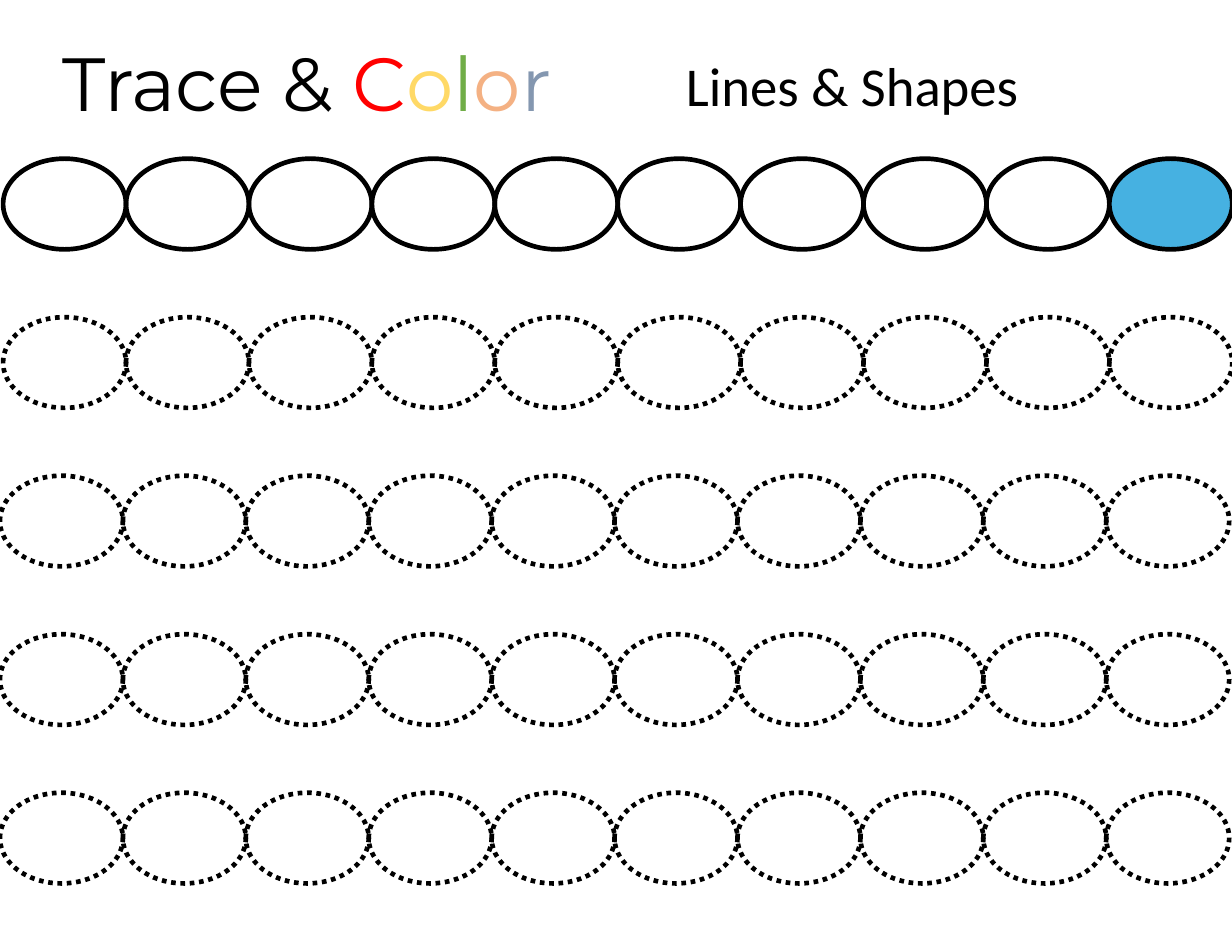
from pptx import Presentation
from pptx.dml.color import RGBColor
from pptx.enum.dml import MSO_LINE
from pptx.enum.shapes import MSO_SHAPE
from pptx.enum.text import MSO_AUTO_SIZE, PP_ALIGN
from pptx.util import Pt

COUNT = 10
OVAL_W, OVAL_H = 79.02, 58.3
TOP, PITCH = 102, 101.9
BLACK, BLUE = "000000", "46B1E1"


def paint(color, value):
    color.rgb = RGBColor.from_string(value)


def add_row(slide, left, top, dotted=True, last=None):
    """Chain of touching ovals; last is the fill of the final one."""
    group = slide.shapes.add_group_shape()
    for i in range(COUNT):
        oval = group.shapes.add_shape(
            MSO_SHAPE.FLOWCHART_CONNECTOR,
            Pt(left + i * OVAL_W), Pt(top), Pt(OVAL_W), Pt(OVAL_H))
        oval.shadow.inherit = False
        if last and i == COUNT - 1:
            oval.fill.solid()
            paint(oval.fill.fore_color, last)
        else:
            oval.fill.background()
        paint(oval.line.color, BLACK)
        oval.line.width = Pt(3)
        if dotted:
            oval.line.dash_style = MSO_LINE.ROUND_DOT


def add_label(slide, box, parts, font, size, align=PP_ALIGN.LEFT):
    """One line of text; parts are pairs of wording and colour."""
    frame = slide.shapes.add_textbox(*map(Pt, box)).text_frame
    frame.word_wrap = True
    frame.auto_size = MSO_AUTO_SIZE.SHAPE_TO_FIT_TEXT
    line = frame.paragraphs[0]
    line.alignment = align
    for text, color in parts:
        run = line.add_run()
        run.text = text
        paint(run.font.color, color)
    line.font.name = font
    line.font.size = Pt(size)


def main():
    deck = Presentation()
    deck.slide_width, deck.slide_height = Pt(792), Pt(612)
    slide = deck.slides.add_slide(deck.slide_layouts[6])

    for row in range(5):
        add_row(slide, 2 if row < 2 else 0, TOP + row * PITCH,
                dotted=row > 0, last=BLUE if row == 0 else None)

    title = [("Trace & ", BLACK), ("C", "FF0000"), ("o", "FFD966"),
             ("l", "70AD47"), ("o", "F4B183"), ("r", "8497B0")]
    add_label(slide, (33, 19.5, 397, 66), title, "Montserrat", 48.4)
    add_label(slide, (363.5, 29.5, 368.5, 49.5), [("Lines & Shapes", BLACK)],
              "Calibri", 35.2, PP_ALIGN.CENTER)
    deck.save("out.pptx")


if __name__ == "__main__":
    main()
